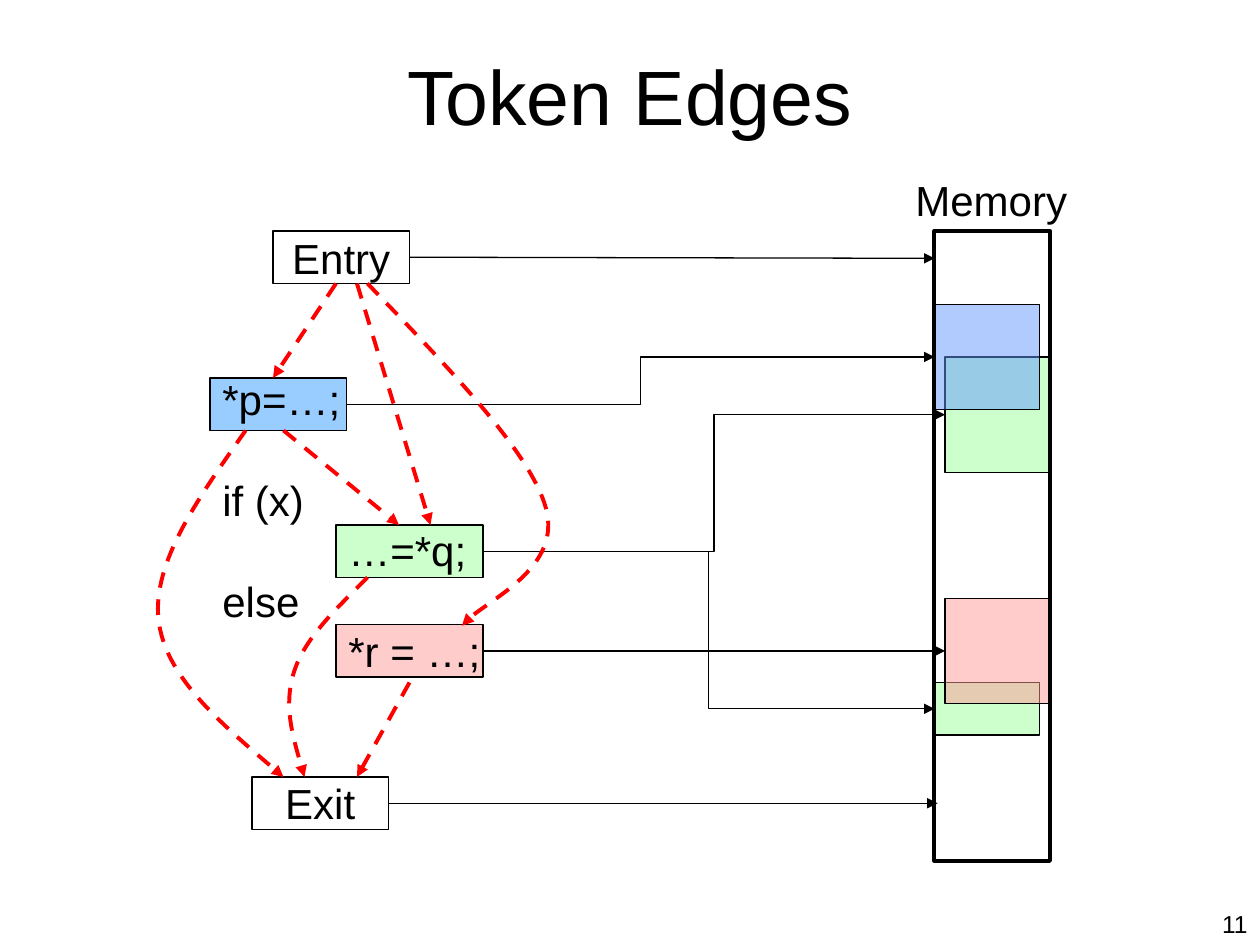
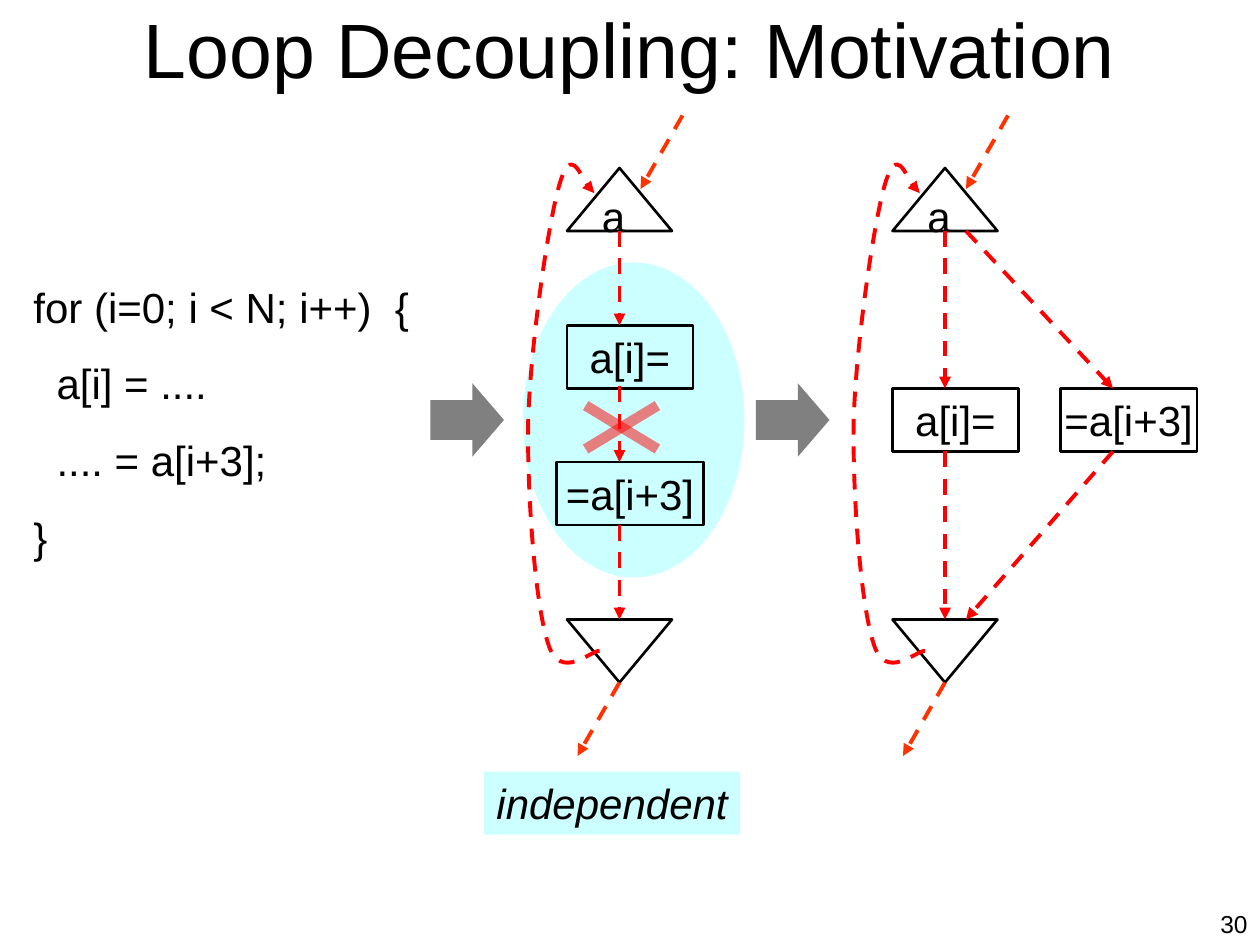
"""Build two slides on token edges and loop decoupling."""
from dataclasses import dataclass
from typing import Optional, Union

from pptx import Presentation
from pptx.dml.color import RGBColor
from pptx.enum.dml import MSO_LINE
from pptx.enum.shapes import MSO_CONNECTOR as Link, MSO_SHAPE as Form
from pptx.enum.text import MSO_ANCHOR as Anchor, MSO_AUTO_SIZE as Fit, PP_ALIGN as Align
from pptx.oxml.ns import qn
from pptx.oxml.xmlchemy import OxmlElement as make
from pptx.shapes.autoshape import Shape
from pptx.shapes.connector import Connector
from pptx.slide import Slide
from pptx.util import Emu, Pt

PX = 7620
FONT = "Arial"
BLACK = RGBColor(0x00, 0x00, 0x00)
RED = RGBColor(0xFF, 0x00, 0x00)
ORANGE = RGBColor(0xFF, 0x33, 0x00)
GREEN = RGBColor(0xCC, 0xFF, 0xCC)
PINK = RGBColor(0xFF, 0xCC, 0xCC)
ROSE = RGBColor(0xFF, 0x99, 0x99)
SKY = RGBColor(0x99, 0xCC, 0xFF)
BLUE = RGBColor(0x66, 0x99, 0xFF)
CYAN = RGBColor(0xCC, 0xFF, 0xFF)
GRAY = RGBColor(0x80, 0x80, 0x80)

Point = tuple[int, int]
Rect = tuple[int, int, int, int]


@dataclass
class Box:
    rect: Rect
    text: str = ""
    fill: Optional[RGBColor] = None
    line: float = 0
    form: Form = Form.RECTANGLE
    clear: bool = False
    turn: float = 0


@dataclass
class Row:
    text: str
    gap: float = 0
    indent: int = 0


@dataclass
class Edge:
    start: Point
    end: Point
    color: RGBColor = RED


def px(*values: int) -> list[Emu]:
    return [Emu(value * PX) for value in values]


def style(par, size: int = 24, align: Align = Align.LEFT) -> None:
    par.alignment = align
    par.font.name = FONT
    par.font.size = Pt(size)
    par.font.color.rgb = BLACK


def add_box(slide: Slide, box: Box) -> Shape:
    shape = slide.shapes.add_shape(box.form, *px(*box.rect))
    shape.shadow.inherit = False
    shape.rotation = box.turn
    if box.fill is None:
        shape.fill.background()
    else:
        shape.fill.solid()
        shape.fill.fore_color.rgb = box.fill
    if box.clear:
        alpha = make("a:alpha")
        alpha.set("val", "50000")
        shape._element.spPr.find(qn("a:solidFill"))[0].append(alpha)
    if box.line:
        shape.line.color.rgb = BLACK
        shape.line.width = Pt(box.line)
    else:
        shape.line.fill.background()
    if box.text:
        frame = shape.text_frame
        frame.word_wrap = False
        frame.vertical_anchor = Anchor.MIDDLE
        frame.text = box.text
        style(frame.paragraphs[0], align=Align.CENTER)
    return shape


def add_text(slide: Slide, rect: Rect, rows: list[Row], size: int = 24,
             align: Align = Align.LEFT, wrap: bool = True) -> Shape:
    shape = slide.shapes.add_textbox(*px(*rect))
    frame = shape.text_frame
    frame.word_wrap = wrap
    for i, row in enumerate(rows):
        par = frame.add_paragraph() if i else frame.paragraphs[0]
        par.text = row.text
        style(par, size, align)
        par.space_before = Pt(row.gap)
        par.line_spacing = Pt(size * 1.2)
        if row.indent:
            par._p.get_or_add_pPr().set("marL", str(row.indent * PX))
    return shape


def add_head(shape: Union[Shape, Connector], color: RGBColor, dash: bool) -> None:
    shape.line.color.rgb = color
    shape.line.width = Pt(2.25 if dash else 0.75)
    if dash:
        shape.line.dash_style = MSO_LINE.DASH
    head = make("a:tailEnd")
    head.set("type", "triangle")
    shape._element.spPr.find(qn("a:ln")).append(head)


def add_edge(slide: Slide, edge: Edge, dash: bool = True,
             kind: Link = Link.STRAIGHT) -> Connector:
    link = slide.shapes.add_connector(kind, *px(*edge.start, *edge.end))
    add_head(link, edge.color, dash)
    link._element.spPr.append(make("a:effectLst"))
    return link


def add_wire(slide: Slide, node: Shape, cell: Shape) -> None:
    start = (node.left + node.width) // PX, (node.top + node.height // 2) // PX
    end = cell.left // PX, (cell.top + cell.height // 2) // PX
    kind = Link.STRAIGHT if start[1] == end[1] else Link.ELBOW
    wire = add_edge(slide, Edge(start, end, BLACK), False, kind)
    wire.begin_connect(node, 3)
    wire.end_connect(cell, 1)


def add_curve(slide: Slide, points: list[Point], shift: int = 0) -> None:
    moved = [(x + shift, y) for x, y in points]
    pen = slide.shapes.build_freeform(*moved[0], scale=PX)
    pen.add_line_segments(moved[1:], close=False)
    shape = pen.convert_to_shape()
    steps = list(shape._element.iter(qn("a:lnTo")))
    for i in range(0, len(steps), 3):
        bend = make("a:cubicBezTo")
        steps[i].addprevious(bend)
        for step in steps[i:i + 3]:
            bend.append(step[0])
            step.getparent().remove(step)
    shape.shadow.inherit = False
    shape.fill.background()
    add_head(shape, RED, True)


def new_slide(deck, title: str, rect: Rect, number: int) -> Slide:
    slide = deck.slides.add_slide(deck.slide_layouts[5])
    head = slide.shapes.title
    head.left, head.top, head.width, head.height = px(*rect)
    frame = head.text_frame
    frame.text = title
    frame.word_wrap = True
    frame.auto_size = Fit.NONE
    frame.vertical_anchor = Anchor.MIDDLE
    style(frame.paragraphs[0], 44, Align.CENTER)
    add_text(slide, (1120, 860, 80, 40), [Row(str(number))], 14, Align.RIGHT)
    return slide


def token_slide(deck) -> None:
    slide = new_slide(deck, "Token Edges", (90, 50, 1020, 80), 11)
    boxes = {
        "q low": Box((890, 650, 100, 50), fill=GREEN, line=0.75),
        "r": Box((320, 595, 140, 50), fill=PINK, line=0.75),
        "r cell": Box((900, 570, 100, 100), fill=ROSE, line=0.75, clear=True),
        "q cell": Box((900, 340, 100, 110), fill=GREEN, line=0.75),
        "p": Box((200, 360, 130, 50), fill=SKY, line=0.75),
        "p cell": Box((890, 290, 100, 100), fill=BLUE, line=0.75, clear=True),
        "q": Box((320, 500, 140, 50), fill=GREEN, line=0.75),
        "memory": Box((890, 220, 110, 600), line=2.25),
        "entry": Box((260, 220, 130, 50), "Entry", line=0.75),
        "exit": Box((240, 740, 130, 50), "Exit", line=0.75),
    }
    made = {name: add_box(slide, box) for name, box in boxes.items()}
    add_text(slide, (860, 160, 190, 60), [Row("Memory")])
    add_text(slide, (200, 350, 270, 300), [
        Row("*p=…;"), Row("if (x)", 28.8), Row("…=*q;", indent=120),
        Row("else"), Row("*r = …;", indent=120)])
    for node, cell in (("r", "r cell"), ("p", "p cell"), ("q", "q cell"), ("q", "q low")):
        add_wire(slide, made[node], made[cell])
    for name, edge in (("entry", Edge((390, 245), (890, 246), BLACK)),
                       ("exit", Edge((370, 765), (893, 765), BLACK))):
        add_edge(slide, edge, False).begin_connect(made[name], 3)
    for start, end in (((270, 410), (380, 500)), ((320, 270), (260, 360)),
                       ((390, 650), (340, 740)), ((340, 270), (410, 500))):
        add_edge(slide, Edge(start, end))
    for points in (
        [(350, 270), (427, 350), (505, 430), (520, 484), (535, 539), (454, 577), (440, 596)],
        [(350, 550), (320, 580), (290, 608), (280, 640), (270, 672), (280, 706), (290, 740)],
        [(234, 410), (190, 473), (145, 535), (151, 590), (157, 644), (214, 692), (270, 740)],
    ):
        add_curve(slide, points)


def add_loop(slide: Slide, shift: int) -> None:
    arrow = add_box(slide, Box((410 + shift, 365, 70, 70), fill=GRAY, form=Form.RIGHT_ARROW))
    arrow.adjustments[0] = 0.54
    arrow.adjustments[1] = 0.43
    tri = Form.ISOSCELES_TRIANGLE
    add_box(slide, Box((540 + shift, 160, 100, 60), "a ", line=1.5, form=tri))
    add_box(slide, Box((540 + shift, 590, 100, 60), line=1.5, form=tri, turn=180))
    add_curve(slide, [
        (571, 620), (563, 619), (533, 650), (522, 613), (510, 577), (502, 475), (503, 402),
        (505, 330), (522, 212), (533, 175), (544, 139), (559, 182), (566, 184)], shift)
    add_edge(slide, Edge((650 + shift, 110), (610 + shift, 180), ORANGE))
    add_edge(slide, Edge((590 + shift, 650), (550 + shift, 720), ORANGE))


def loop_slide(deck) -> None:
    slide = new_slide(deck, "Loop Decoupling: Motivation", (90, 0, 1020, 90), 30)
    add_box(slide, Box((498, 250, 211, 300), fill=CYAN, form=Form.OVAL))
    label = add_text(slide, (461, 735, 244, 60), [Row("independent")], wrap=False)
    label.fill.solid()
    label.fill.fore_color.rgb = CYAN
    label.text_frame.paragraphs[0].font.italic = True
    add_text(slide, (20, 262, 390, 280), [
        Row("for (i=0; i < N; i++)  {"), Row("a[i] = ....", 15, 22),
        Row(".... = a[i+3];", 15, 22), Row("}", 15)])
    for shift in (0, 310):
        add_loop(slide, shift)
    for rect, text in (((540, 310, 120, 60), "a[i]="), ((530, 440, 140, 60), "=a[i+3]"),
                       ((850, 370, 120, 60), "a[i]="), ((1010, 370, 130, 60), "=a[i+3]")):
        add_box(slide, Box(rect, text, line=1.5))
    for start, end in (((590, 220), (590, 310)), ((590, 368), (590, 440)),
                       ((590, 500), (590, 590)), ((900, 220), (900, 370)),
                       ((900, 430), (900, 590)), ((920, 220), (1060, 370)),
                       ((1060, 430), (920, 590))):
        add_edge(slide, Edge(start, end))
    for turn in (-31.2, 31.2):
        add_box(slide, Box((552, 402, 80, 10), fill=RED, clear=True, turn=turn))


def main() -> None:
    deck = Presentation()
    deck.slide_width, deck.slide_height = px(1200, 900)
    token_slide(deck)
    loop_slide(deck)
    deck.save("out.pptx")


if __name__ == "__main__":
    main()
